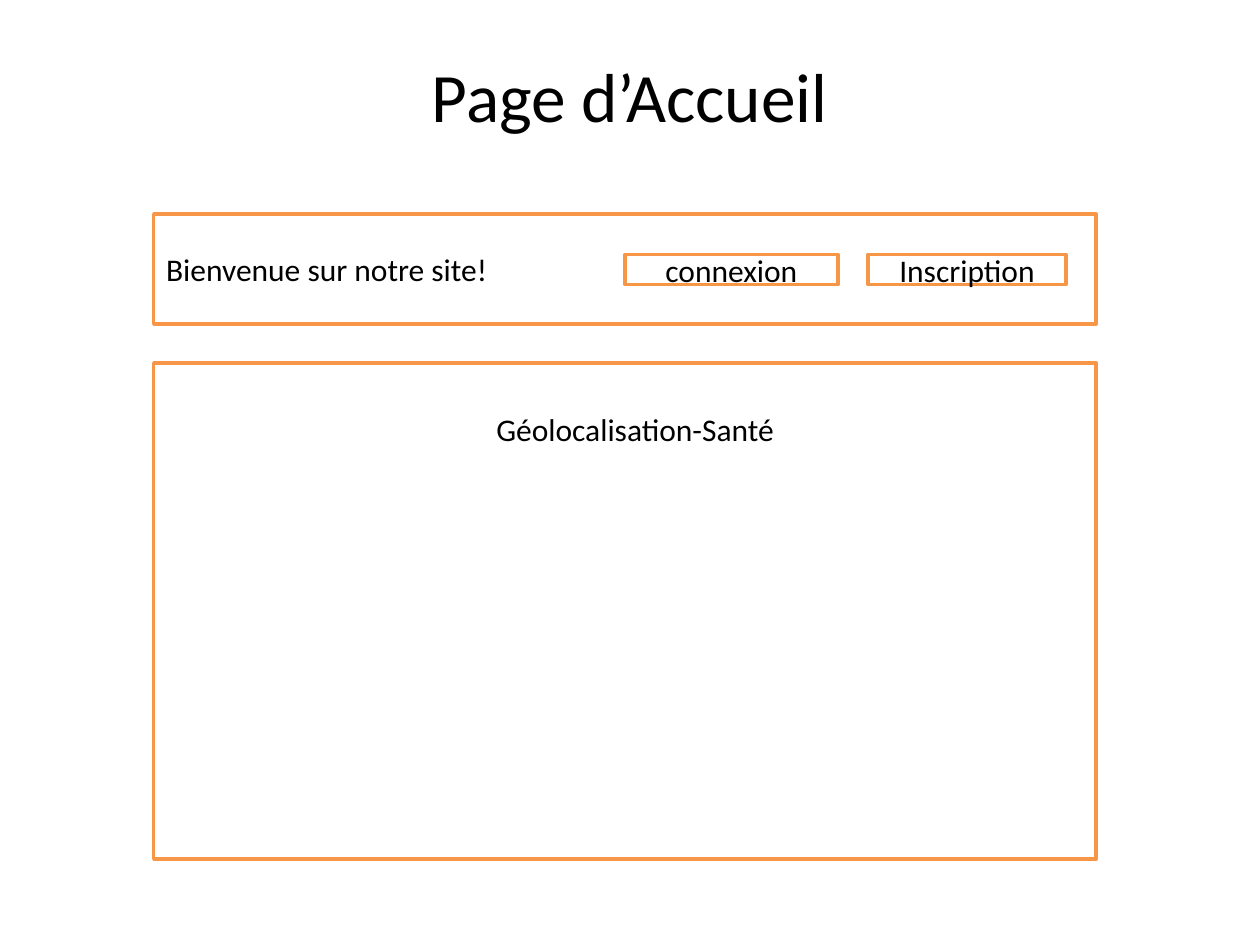
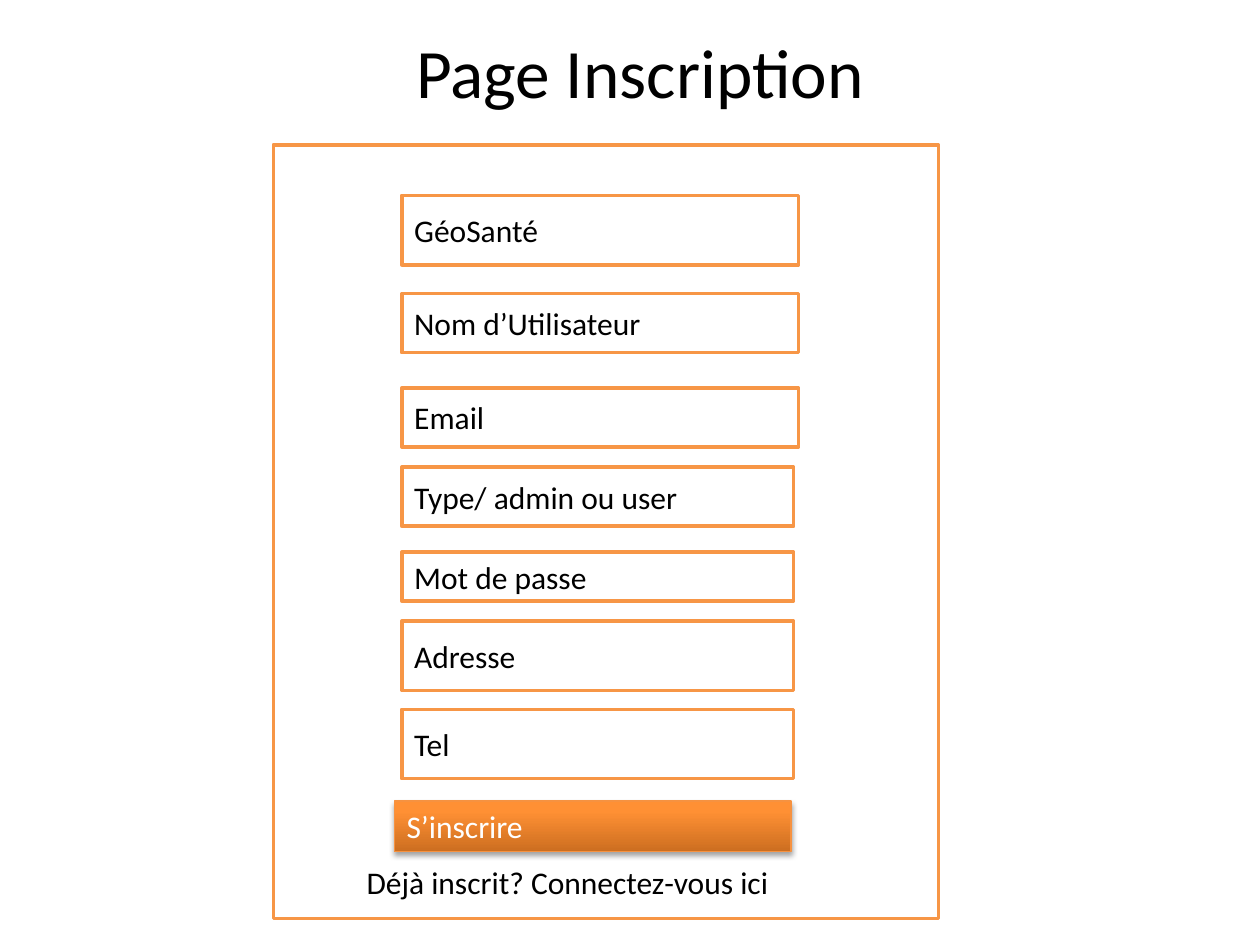
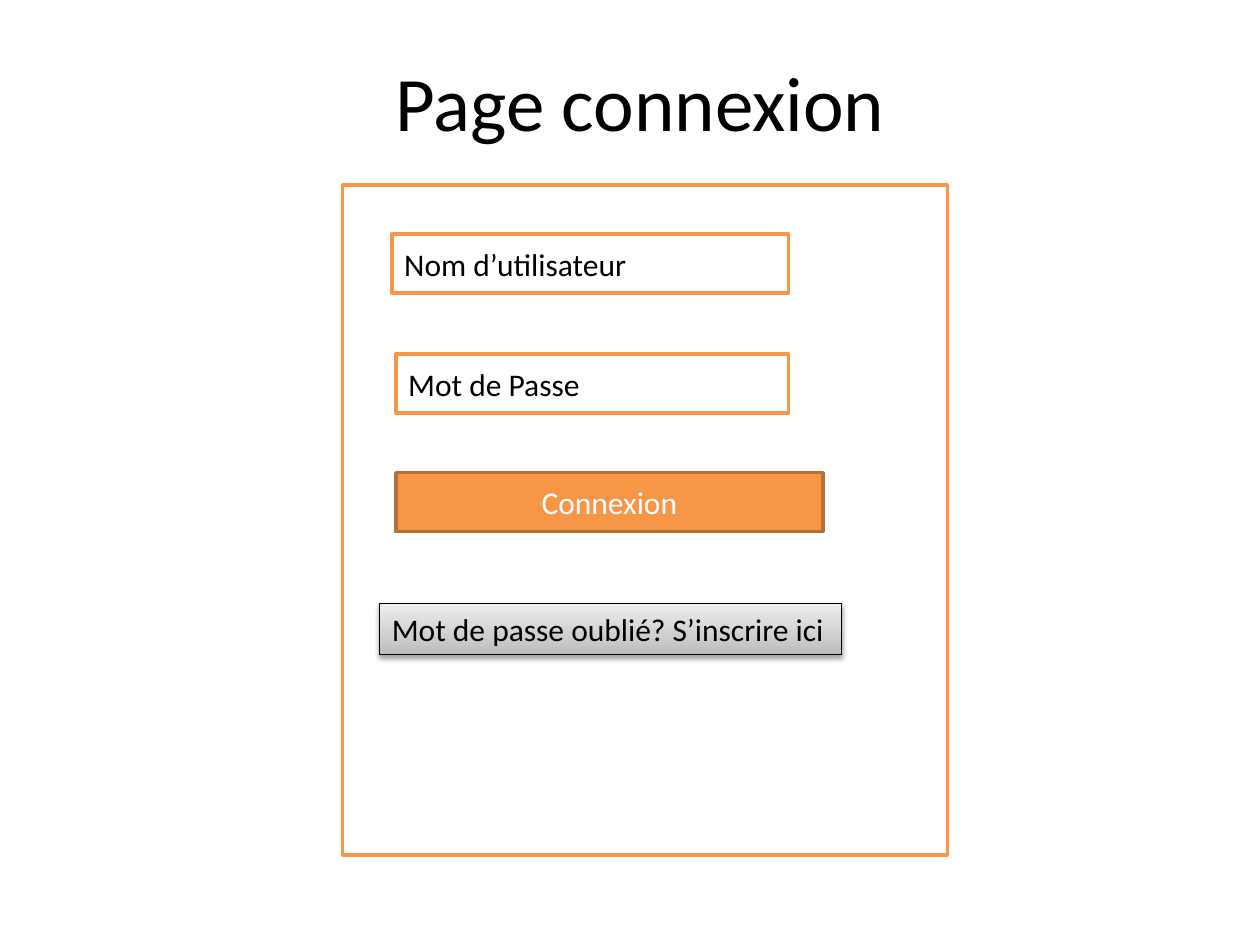
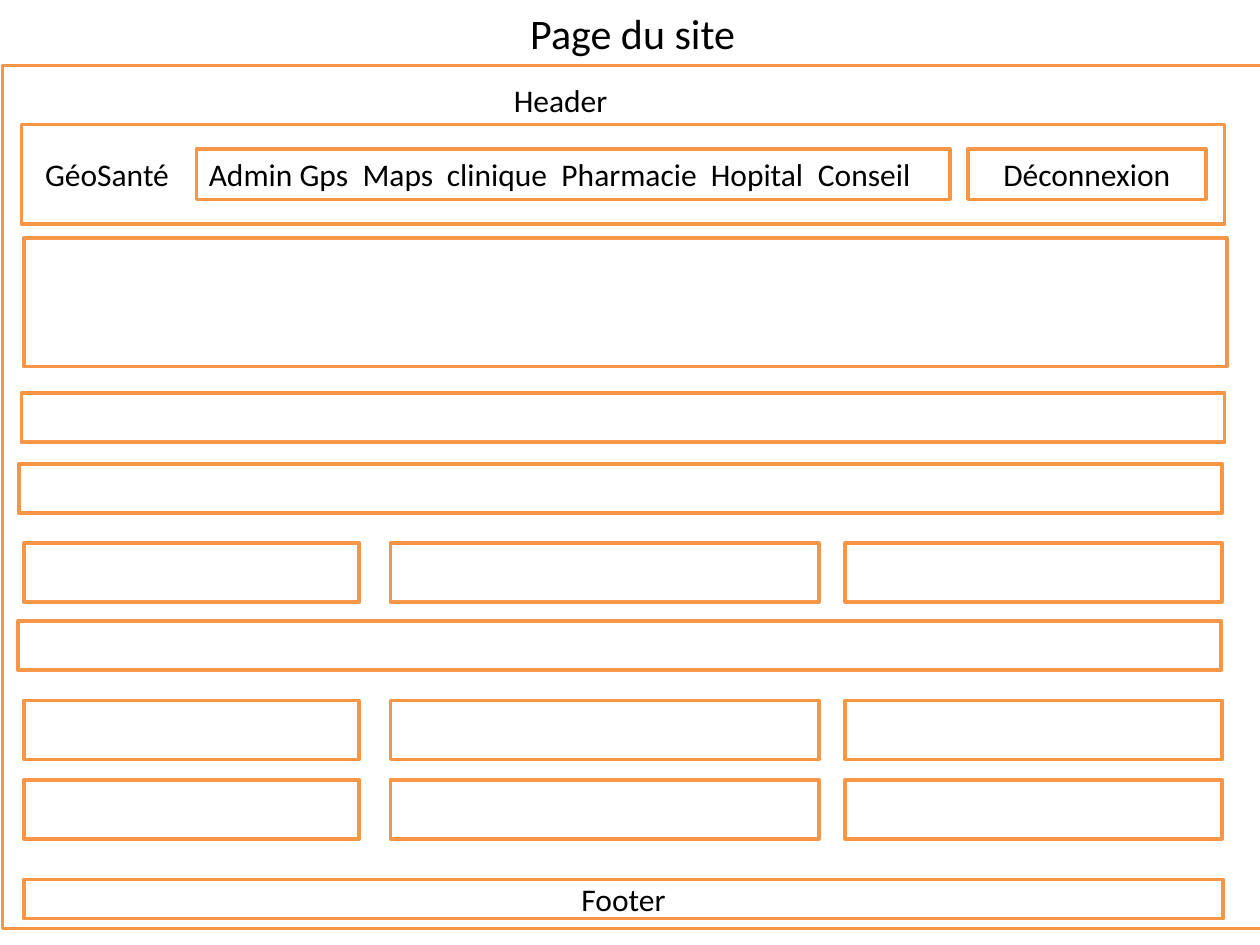
from lxml import etree
from pptx import Presentation
from pptx.dml.color import RGBColor
from pptx.enum.shapes import MSO_SHAPE
from pptx.enum.text import MSO_ANCHOR, PP_ALIGN
from pptx.oxml.ns import qn
from pptx.util import Cm, Pt

RECT = MSO_SHAPE.RECTANGLE
MIDDLE = MSO_ANCHOR.MIDDLE
LEFT, CENTER = PP_ALIGN.LEFT, PP_ALIGN.CENTER
FONT = "Calibri"
BODY_SIZE = 18
TITLE_WIDTH = 21.59
LABEL_HEIGHT = 1.02
COLORS = {
    "text": "000000",
    "white": "FFFFFF",
    "orange": "F79646",
    "orange_edge": "B76F34",
    "button_dark": "CC6E20",
    "button_light": "FF9034",
    "button_edge": "F69240",
    "grey_dark": "BDBDBD",
    "grey_light": "EEEEEE",
}


def rgb(name):
    return RGBColor.from_string(COLORS[name])


def write(sp, text, align=LEFT, size=BODY_SIZE, color="text"):
    tf = sp.text_frame
    tf.word_wrap = True
    tf.vertical_anchor = MIDDLE
    p = tf.paragraphs[0]
    p.text = text
    p.alignment = align
    p.font.name = FONT
    p.font.size = Pt(size)
    p.font.color.rgb = rgb(color)
    return p


def add_label(s, text, left, top, width, height=LABEL_HEIGHT, align=LEFT, size=BODY_SIZE):
    sp = s.shapes.add_textbox(Cm(left), Cm(top), Cm(width), Cm(height))
    write(sp, text, align, size)


def add_title(s, text, left, top, height, size=39.6):
    add_label(s, text, left, top, TITLE_WIDTH, height, CENTER, size)


def add_box(s, left, top, width, height, text="", align=LEFT,
            fill="white", line="orange", color="text", weight=2):
    sp = s.shapes.add_shape(RECT, Cm(left), Cm(top), Cm(width), Cm(height))
    sp.shadow.inherit = False
    sp.fill.solid()
    sp.fill.fore_color.rgb = rgb(fill)
    sp.line.color.rgb = rgb(line)
    sp.line.width = Pt(weight)
    if text:
        write(sp, text, align, color=color)
    return sp


def add_raised_button(s, left, top, width, text, stops, line, color):
    sp = add_box(s, left, top, width, LABEL_HEIGHT, text, line=line, color=color, weight=0.75)
    sp.fill.gradient()
    sp.fill.gradient_angle = 90
    for stop, (position, name) in zip(sp.fill.gradient_stops, stops):
        stop.position = position
        stop.color.rgb = rgb(name)
    effects = sp.element.spPr.find(qn("a:effectLst"))
    shadow = etree.SubElement(effects, qn("a:outerShdw"), blurRad=str(Pt(3.1)),
                              dist=str(Pt(1.8)), dir="5400000", rotWithShape="0")
    shade = etree.SubElement(shadow, qn("a:srgbClr"), val=COLORS["text"])
    etree.SubElement(shade, qn("a:alpha"), val="36000")


def add_menu(s, left, top, width, items, tabs):
    sp = add_box(s, left, top, width, LABEL_HEIGHT)
    p = write(sp, "\t".join(items))
    tab_list = etree.Element(qn("a:tabLst"))
    for tab in tabs:
        etree.SubElement(tab_list, qn("a:tab"), pos=str(Cm(tab)), algn="l")
    p._p.get_or_add_pPr().insert(0, tab_list)


def build_home(s):
    add_title(s, "Page d’Accueil", 1.9, 1.12, 1.6)
    add_box(s, 3.1, 4.32, 19, 2.21, "Bienvenue sur notre site!")
    add_box(s, 12.6, 5.13, 4.29, 0.61, "connexion", CENTER)
    add_box(s, 17.5, 5.13, 3.99, 0.61, "Inscription", CENTER)
    add_box(s, 3.1, 7.32, 19, 10)
    add_label(s, "Géolocalisation-Santé", 7.7, 8.13, 10.21, align=CENTER)


def build_signup(s):
    add_title(s, "Page Inscription", 2.11, 0.53, 1.8)
    add_box(s, 5.51, 2.92, 13.41, 15.6)
    fields = [
        ("GéoSanté", 3.94, 8, 1.4),
        ("Nom d’Utilisateur", 5.92, 8, 1.19),
        ("Email", 7.82, 8, 1.19),
        ("Type/ admin ou user", 9.42, 7.9, 1.19),
        ("Mot de passe", 11.13, 7.9, 0.99),
        ("Adresse", 12.52, 7.9, 1.4),
        ("Tel", 14.3, 7.9, 1.4),
    ]
    for text, top, width, height in fields:
        add_box(s, 8.1, top, width, height, text)
    add_raised_button(s, 7.95, 16.15, 8, "S’inscrire",
                      [(0, "button_dark"), (0.8, "button_light")], "button_edge", "white")
    add_label(s, "Déjà inscrit? Connectez-vous ici", 7.14, 17.27, 9.8)


def build_login(s):
    add_title(s, "Page connexion", 2.11, 0.74, 2.59, 44)
    add_box(s, 6.91, 3.73, 12.19, 13.51)
    add_box(s, 7.9, 4.72, 8, 1.19, "Nom d’utilisateur")
    add_box(s, 7.98, 7.14, 7.92, 1.19, "Mot de Passe")
    add_box(s, 7.98, 9.53, 8.61, 1.19, "Connexion", CENTER, "orange", "orange_edge", "white")
    add_raised_button(s, 7.65, 12.17, 9.32, "Mot de passe oublié? S’inscrire ici",
                      [(0, "grey_dark"), (1, "grey_light")], "text", "text")


def build_site(s):
    add_title(s, "Page du site", 1.96, -0.05, 1.4, 24)
    add_box(s, 0.05, 1.32, 25.4, 17.4)
    add_label(s, "Header", 10.11, 1.5, 5)
    add_box(s, 0.43, 2.51, 24.26, 2.01)
    add_label(s, "GéoSanté", 0.66, 3, 3.2)
    add_menu(s, 3.96, 3, 15.19,
             ["Admin Gps", "Maps", "clinique", "Pharmacie", "Hopital", "Conseil"],
             [3.1, 4.8, 7.11, 10.12, 12.28])
    add_box(s, 19.51, 3, 4.8, LABEL_HEIGHT, "Déconnexion", CENTER)
    add_box(s, 0.48, 4.8, 24.26, 2.59)
    for left, top in [(0.43, 7.92), (0.38, 9.35), (0.36, 12.52)]:
        add_box(s, left, top, 24.26, 0.99)
    for top in (10.95, 14.12, 15.72):
        for left, width in [(0.48, 6.76), (7.87, 8.64), (17.04, 7.6)]:
            add_box(s, left, top, width, 1.19)
    add_box(s, 0.48, 17.73, 24.18, 0.79, "Footer", CENTER)


def main():
    prs = Presentation()
    prs.slide_width, prs.slide_height = Cm(25.4), Cm(19.05)
    blank = prs.slide_layouts[6]
    for build in (build_home, build_signup, build_login, build_site):
        build(prs.slides.add_slide(blank))
    prs.save("out.pptx")


if __name__ == "__main__":
    main()
